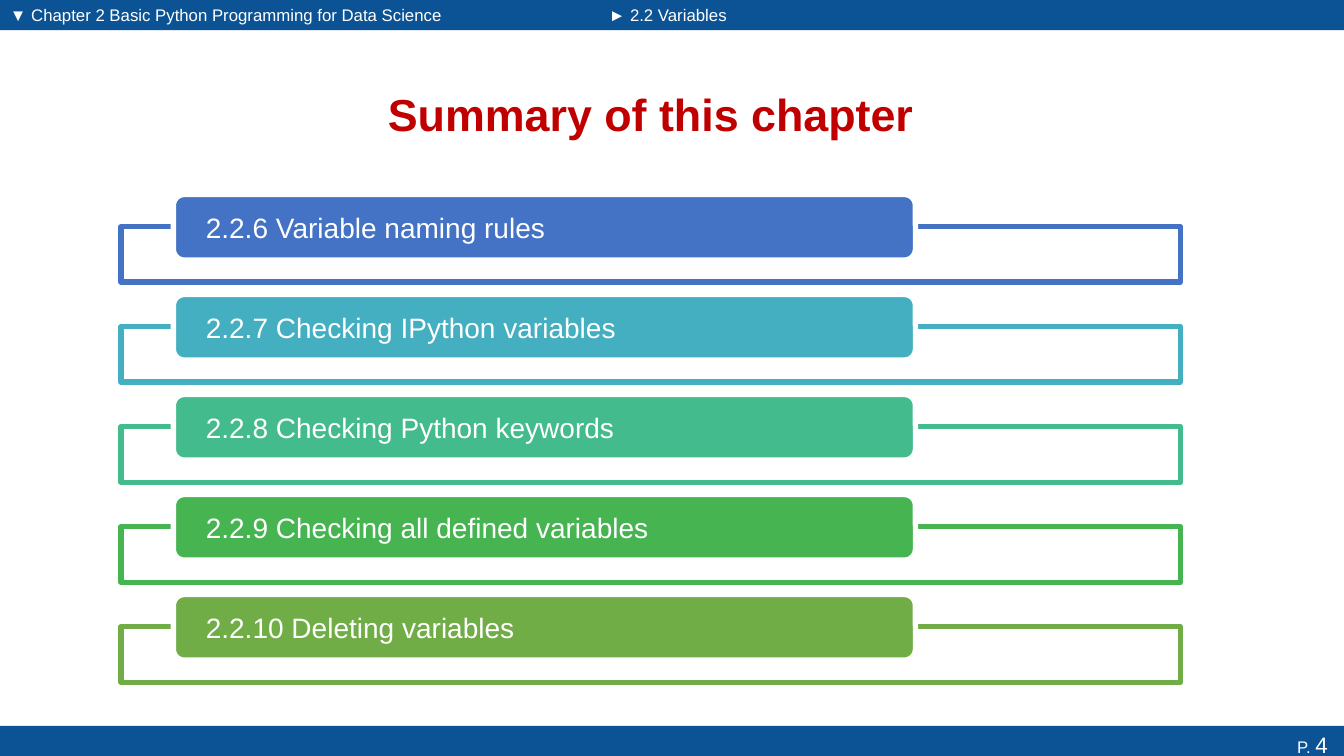
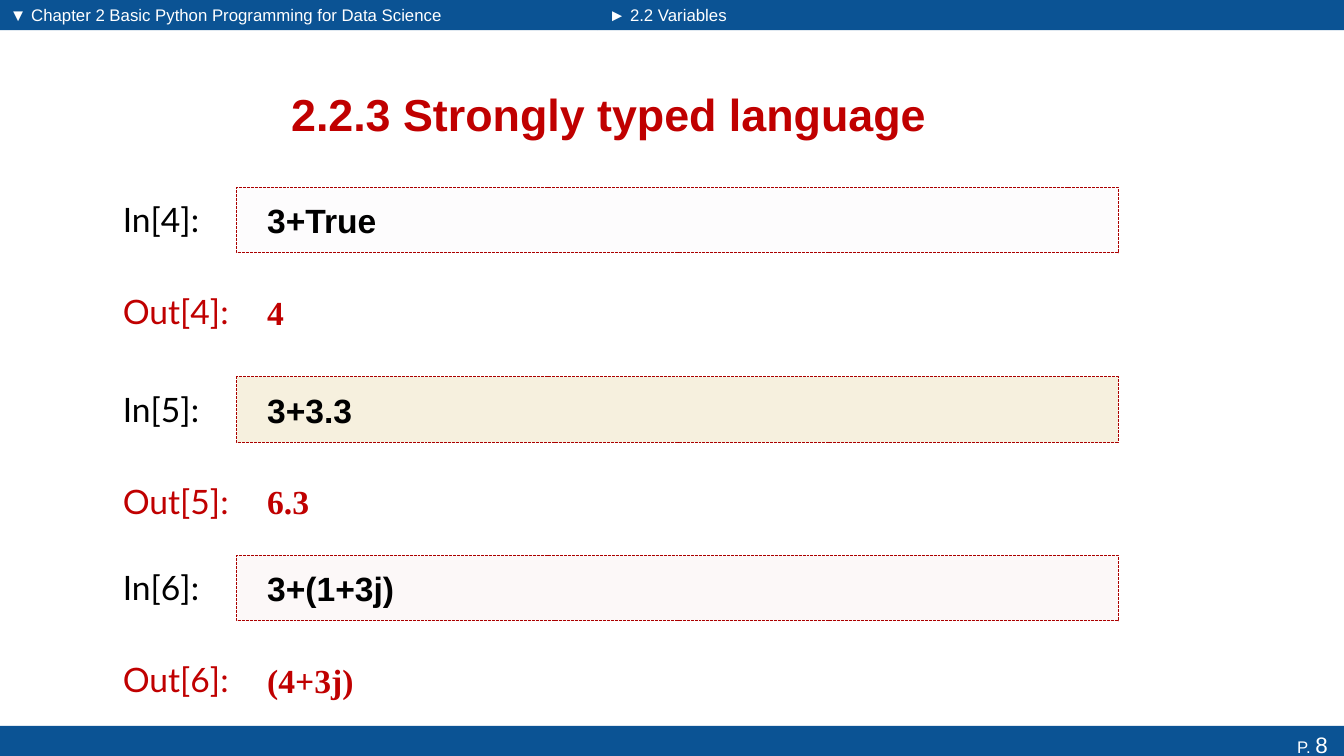
from lxml import etree
from pptx import Presentation
from pptx.dml.color import RGBColor
from pptx.enum.dml import MSO_LINE
from pptx.enum.shapes import MSO_SHAPE
from pptx.enum.text import MSO_ANCHOR, MSO_AUTO_SIZE, PP_ALIGN
from pptx.oxml.ns import qn
from pptx.util import Inches, Pt

RECTANGLE = MSO_SHAPE.RECTANGLE
ROUNDED = MSO_SHAPE.ROUNDED_RECTANGLE
SHORT_DASH = MSO_LINE.SQUARE_DOT
MIDDLE = MSO_ANCHOR.MIDDLE
LEFT, CENTER, RIGHT = PP_ALIGN.LEFT, PP_ALIGN.CENTER, PP_ALIGN.RIGHT

SLIDE_WIDTH = Inches(13.33)
SLIDE_HEIGHT = Inches(7.5)
TITLE_ONLY = 5

BAND_BLUE = "0B5394"
RED = "C00000"
DASH_RED = "AB0000"
WHITE = "FFFFFF"
BLACK = "000000"

# Positions and sizes below are percentages of the slide's width and height.
HEADER_SPLIT = 44.49
HEADER_HEIGHT = 4
HEADERS = (
    ("▼ Chapter 2 Basic Python Programming for Data Science", 0, 36.23),
    ("► 2.2 Variables", 44.56, 17.85),
)

TOPICS = (
    ("2.2.6 Variable naming rules", "4472C4"),
    ("2.2.7 Checking IPython variables", "43AFC0"),
    ("2.2.8 Checking Python keywords", "43BB8D"),
    ("2.2.9 Checking all defined variables", "45B451"),
    ("2.2.10 Deleting variables", "70AD47"),
)
TOPIC_TOP = 25.73
TOPIC_PITCH = 13.23
ROW_HEIGHT = 8.67

CELLS = (
    (4, "3+True", "4", "F1EEF4", 24.8),
    (5, "3+3.3", "6.3", "BF9000", 49.87),
    (6, "3+(1+3j)", "(4+3j)", "EDCDCB", 73.47),
)
OUTPUT_OFFSET = 12.13


def color(hex_string):
    return RGBColor.from_string(hex_string)


def area(left, top, width, height):
    """Turn percentages of the slide into lengths."""
    return (
        int(SLIDE_WIDTH * left / 100),
        int(SLIDE_HEIGHT * top / 100),
        int(SLIDE_WIDTH * width / 100),
        int(SLIDE_HEIGHT * height / 100),
    )


def set_frame(shape, left_inset=0.1, right_inset=0.1):
    frame = shape.text_frame
    frame.word_wrap = True
    frame.auto_size = MSO_AUTO_SIZE.NONE
    frame.vertical_anchor = MIDDLE
    frame.margin_left = Inches(left_inset)
    frame.margin_right = Inches(right_inset)


def write_text(shape, text, size=24, font="Arial", fill=BLACK, bold=False, align=LEFT):
    """Append a run to the shape's first paragraph."""
    paragraph = shape.text_frame.paragraphs[0]
    paragraph.alignment = align
    run = paragraph.add_run()
    run.text = text
    run.font.size = Pt(size)
    run.font.name = font
    run.font.bold = bold
    run.font.color.rgb = color(fill)


def add_box(slide, place, fill, kind=RECTANGLE, opacity=100, line=None, line_width=1, dash=None):
    shape = slide.shapes.add_shape(kind, *area(*place))
    shape.shadow.inherit = False
    shape.fill.solid()
    shape.fill.fore_color.rgb = color(fill)
    if opacity < 100:
        fill_color = shape._element.xpath("./p:spPr/a:solidFill/a:srgbClr")[0]
        etree.SubElement(fill_color, qn("a:alpha")).set("val", str(opacity * 1000))
    if line:
        shape.line.color.rgb = color(line)
        shape.line.width = Pt(line_width)
        if dash:
            shape.line.dash_style = dash
    else:
        shape.line.fill.background()
    return shape


def add_label(slide, place, text, left_inset=0.1, **text_format):
    label = slide.shapes.add_textbox(*area(*place))
    set_frame(label, left_inset)
    write_text(label, text, **text_format)


def add_page(presentation, title_text, title_left, title_width, number):
    """Add a slide with the shared title style, header bands and footer."""
    slide = presentation.slides.add_slide(presentation.slide_layouts[TITLE_ONLY])
    add_box(slide, (0, 0, HEADER_SPLIT, HEADER_HEIGHT), BAND_BLUE)
    add_box(slide, (HEADER_SPLIT, 0, 100 - HEADER_SPLIT, HEADER_HEIGHT), BAND_BLUE)
    for text, left, width in HEADERS:
        add_label(slide, (left, 0, width, HEADER_HEIGHT), text, size=12, fill=WHITE)

    footer = add_box(slide, (0, 96, 100, 4.93), BAND_BLUE)
    set_frame(footer, right_inset=0.16)
    write_text(footer, "P. ", size=12, fill=WHITE, align=RIGHT)
    write_text(footer, str(number), size=16, fill=WHITE, align=RIGHT)

    title = slide.shapes.title
    title.left, title.top, title.width, title.height = area(title_left, 9.07, title_width, 12)
    set_frame(title)
    write_text(title, title_text, size=32, fill=RED, bold=True, align=CENTER)
    return slide


def add_topic(slide, top, text, accent):
    add_box(slide, (9, top + 4.27, 78.84, 7.33), WHITE, opacity=90, line=accent, line_width=3.78)
    pill = add_box(slide, (12.9, top, 55.21, ROW_HEIGHT), accent, ROUNDED,
                   line=WHITE, line_width=3.78)
    set_frame(pill, left_inset=0.29)
    write_text(pill, text, size=20, fill=WHITE)


def add_prompt(slide, top, text, fill):
    add_label(slide, (8.4, top + 0.87, 10.13, 6.67), text, font="Lato", fill=fill)


def add_cell(slide, number, code, result, tint, top):
    """Add a numbered input with its code box and the output below it."""
    code_left, code_width = 17.63, 65.57
    output_top = top + OUTPUT_OFFSET
    add_prompt(slide, top, f"In[{number}]:", BLACK)
    code_box = add_box(slide, (code_left, top, code_width, ROW_HEIGHT), tint, opacity=13,
                       line=DASH_RED, line_width=0.7, dash=SHORT_DASH)
    set_frame(code_box, left_inset=0.3)
    write_text(code_box, code, bold=True)
    add_prompt(slide, output_top, f"Out[{number}]:", RED)
    add_label(slide, (code_left, output_top, code_width, ROW_HEIGHT), result,
              left_inset=0.3, font="Times New Roman", fill=RED, bold=True)


def main():
    presentation = Presentation()
    presentation.slide_width = SLIDE_WIDTH
    presentation.slide_height = SLIDE_HEIGHT

    summary = add_page(presentation, "Summary of this chapter", 18.83, 59.19, 4)
    for index, (text, accent) in enumerate(TOPICS):
        add_topic(summary, TOPIC_TOP + index * TOPIC_PITCH, text, accent)

    typing_slide = add_page(presentation, "2.2.3 Strongly typed language", 5.1, 80.42, 8)
    for cell in CELLS:
        add_cell(typing_slide, *cell)

    presentation.save("out.pptx")


if __name__ == "__main__":
    main()
